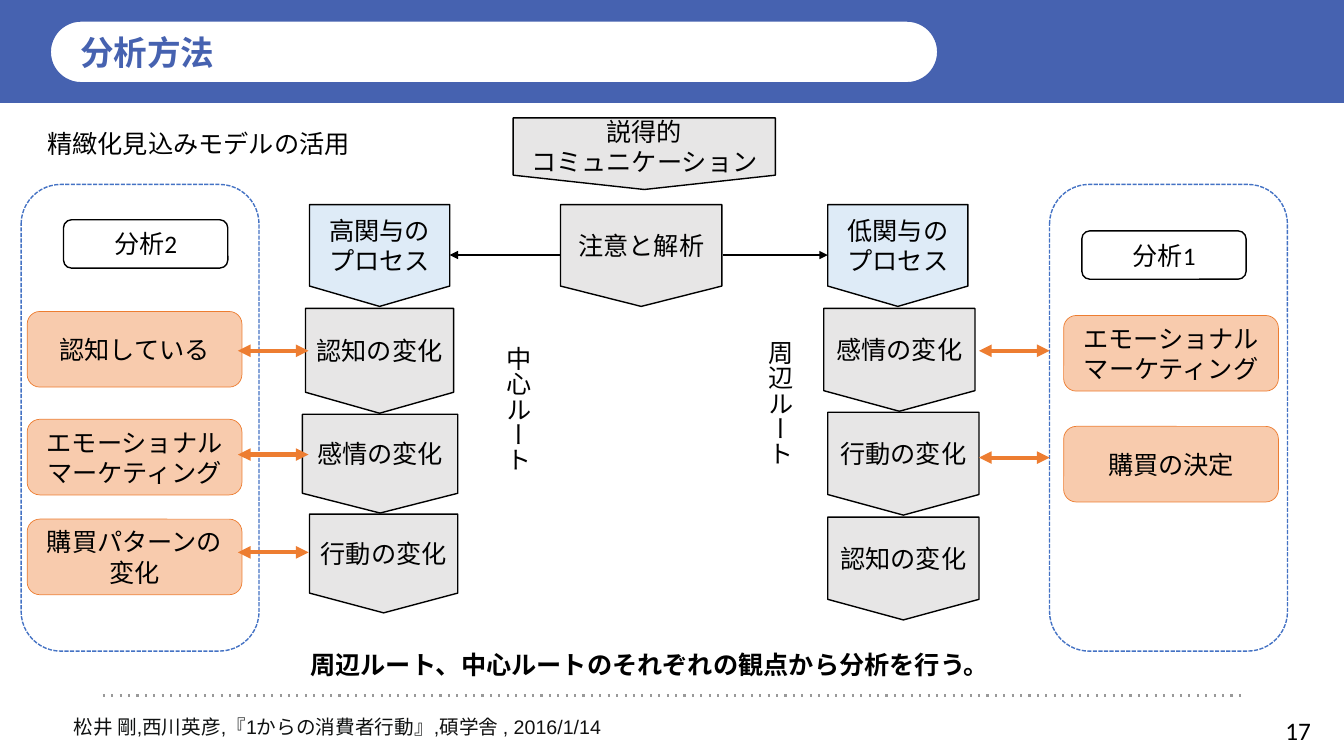
from pptx import Presentation, util as u
from pptx.dml.color import RGBColor
from pptx.enum import dml, shapes, text
from pptx.oxml.ns import qn
from lxml import etree

# Content
BLUE, BLACK, ORANGE = "4662B0", "000000", "ED7D31"
GREY, PALE_BLUE, PEACH, WHITE = "E7E6E6", "DEEBF7", "F8CBAD", "FFFFFF"
TITLE = "分析方法"
# Process steps: words, left, top, width, height, fill, font
STEPS = [
    ("説得的\nコミュニケーション", 5.09, 1.17, 2.6, 0.71, GREY, "Noto Sans CJK JP"),
    ("注意と解析", 5.56, 2.03, 1.6, 1.01, GREY, "Arial"),
    ("認知の変化", 3.03, 3.06, 1.47, 1.04, GREY, "Arial"),
    ("行動の変化", 3.07, 5.1, 1.47, 0.98, GREY, "Arial"),
    ("高関与のプロセス", 3.07, 2.03, 1.39, 1.01, PALE_BLUE, "Arial"),
    ("感情の変化", 3, 4.11, 1.54, 0.98, GREY, "Arial"),
    ("低関与のプロセス", 8.21, 2.03, 1.39, 1.01, PALE_BLUE, "Arial"),
    ("感情の変化", 8.17, 3.06, 1.5, 1.02, GREY, "Arial"),
    ("行動の変化", 8.21, 4.09, 1.5, 1.02, GREY, "Arial"),
    ("認知の変化", 8.21, 5.13, 1.5, 1.02, GREY, "Arial"),
]
ROUTES = [("中心ルート", 4.84, 3.34), ("周辺ルート", 7.44, 3.28)]
# Analysis panels: panel left, label with its place, card left, cards with
# their tops, left end of the arrows, arrow heights
PANELS = [
    (0.21, ("分析2", 0.63, 2.18), 0.27,
     [("認知している", 3.09), ("エモーショナルマーケティング", 4.16),
      ("購買パターンの変化", 5.15)], 2.36, [3.48, 4.51, 5.48]),
    (10.41, ("分析1", 10.73, 2.29), 10.55,
     [("エモーショナルマーケティング", 3.13), ("購買の決定", 4.23)],
     9.71, [3.48, 4.54]),
]
SOURCE = [("松井 剛,西川英彦,『1からの消費者行動』,", "0F1111"),
          ("碩学舎 , 2016/1/14", "111111")]

prs = Presentation()
prs.slide_width, prs.slide_height = u.Inches(13.33), u.Inches(7.5)
s = prs.slides.add_slide(prs.slide_layouts[6])


def rgb(color):
    return RGBColor.from_string(color)


def style(run, size, font, color, bold=False):
    f = run.font
    f.size, f.name, f.bold = u.Pt(size), font, bold
    f.color.rgb = rgb(color)


def box(kind, x, y, w, h, fill=None, line=None, weight=1, words="",
        font="Calibri", size=18, color=BLACK, bold=False):
    sp = s.shapes.add_shape(kind, *map(u.Inches, (x, y, w, h)))
    sp.shadow.inherit = False
    if fill:
        sp.fill.solid()
        sp.fill.fore_color.rgb = rgb(fill)
    else:
        sp.fill.background()
    if line:
        sp.line.color.rgb = rgb(line)
        sp.line.width = u.Pt(weight)
    else:
        sp.line.fill.background()
    if words:
        tf = sp.text_frame
        tf.vertical_anchor = text.MSO_ANCHOR.MIDDLE
        p = tf.paragraphs[0]
        p.text = words
        p.alignment = text.PP_ALIGN.CENTER
        for r in p.runs:
            style(r, size, font, color, bold)
    return sp


def label(parts, x, y, w, h, size=18, font="Arial", bold=False, wrap=False):
    tf = s.shapes.add_textbox(*map(u.Inches, (x, y, w, h))).text_frame
    tf.word_wrap = wrap
    for words, color in parts:
        r = tf.paragraphs[0].add_run()
        r.text = words
        style(r, size, font, color, bold)
    return tf


def line(x1, y1, x2, y2, color, weight, heads=()):
    c = s.shapes.add_connector(shapes.MSO_CONNECTOR.STRAIGHT,
                               *map(u.Inches, (x1, y1, x2, y2)))
    c.line.color.rgb = rgb(color)
    c.line.width = u.Pt(weight)
    for end in heads:
        etree.SubElement(c.line._get_or_add_ln(), qn("a:" + end), type="triangle")
    etree.SubElement(c._element.spPr, qn("a:effectLst"))
    return c


KIND = shapes.MSO_SHAPE
ROUND = KIND.ROUNDED_RECTANGLE

# Header band and title
box(KIND.RECTANGLE, 0, 0, 13.33, 1.02, BLUE)
title = box(ROUND, 0.45, 0.16, 8.9, 0.71, WHITE, BLUE, 8, TITLE,
            "Arial", 24, BLUE, True)
title.adjustments[0] = 0.5
tf = title.text_frame
tf.margin_left = u.Inches(0.24)
tf.margin_top = tf.margin_right = tf.margin_bottom = 0
tf.paragraphs[0].alignment = text.PP_ALIGN.LEFT

# Footer rule
rule = line(1.02, 6.9, 12.31, 6.9, "999999", 1.5)
rule.line.dash_style = dml.MSO_LINE.ROUND_DOT
rule.line._get_or_add_ln().find(qn("a:prstDash")).set("val", "dot")

# Process steps and their branches
for words, x, y, w, h, fill, font in STEPS:
    box(KIND.FLOWCHART_OFFPAGE_CONNECTOR, x, y, w, h, fill, BLACK,
        words=words, font=font)
for start, end in [(5.56, 4.46), (7.17, 8.21)]:
    line(start, 2.53, end, 2.53, BLACK, 1, ["tailEnd"])
for words, x, y in ROUTES:
    tf = label([(words, BLACK)], x, y, 0.5, 1.36)
    tf._txBody.bodyPr.set("vert", "eaVert")

# Analysis panels
for left, (name, nx, ny), card_x, cards, arrow_x, arrow_ys in PANELS:
    for words, y in cards:
        box(ROUND, card_x, y, 2.13, 0.75, PEACH, ORANGE, 0.5, words)
    box(ROUND, nx, ny, 1.63, 0.48, WHITE, BLACK, words=name)
    panel = box(ROUND, left, 1.83, 2.36, 4.63, line="4472C4")
    panel.line.dash_style = dml.MSO_LINE.SQUARE_DOT
    for y in arrow_ys:
        line(arrow_x, y, arrow_x + 0.7, y, ORANGE, 3, ["headEnd", "tailEnd"])

# Captions, source and page number
label([("精緻化見込みモデルの活用", BLACK)], 0.37, 1.22, 3.23, 0.71)
label([("周辺ルート、中心ルートのそれぞれの観点から分析を行う。", BLACK)],
      2.98, 6.39, 7.02, 0.4, font="Calibri", bold=True)
label(SOURCE, 0.63, 7.04, 5.9, 0.57, size=14)
label([("17", BLACK)], 12.65, 7.05, 0.47, 0.4, font="Calibri", wrap=True)

prs.save("out.pptx")
